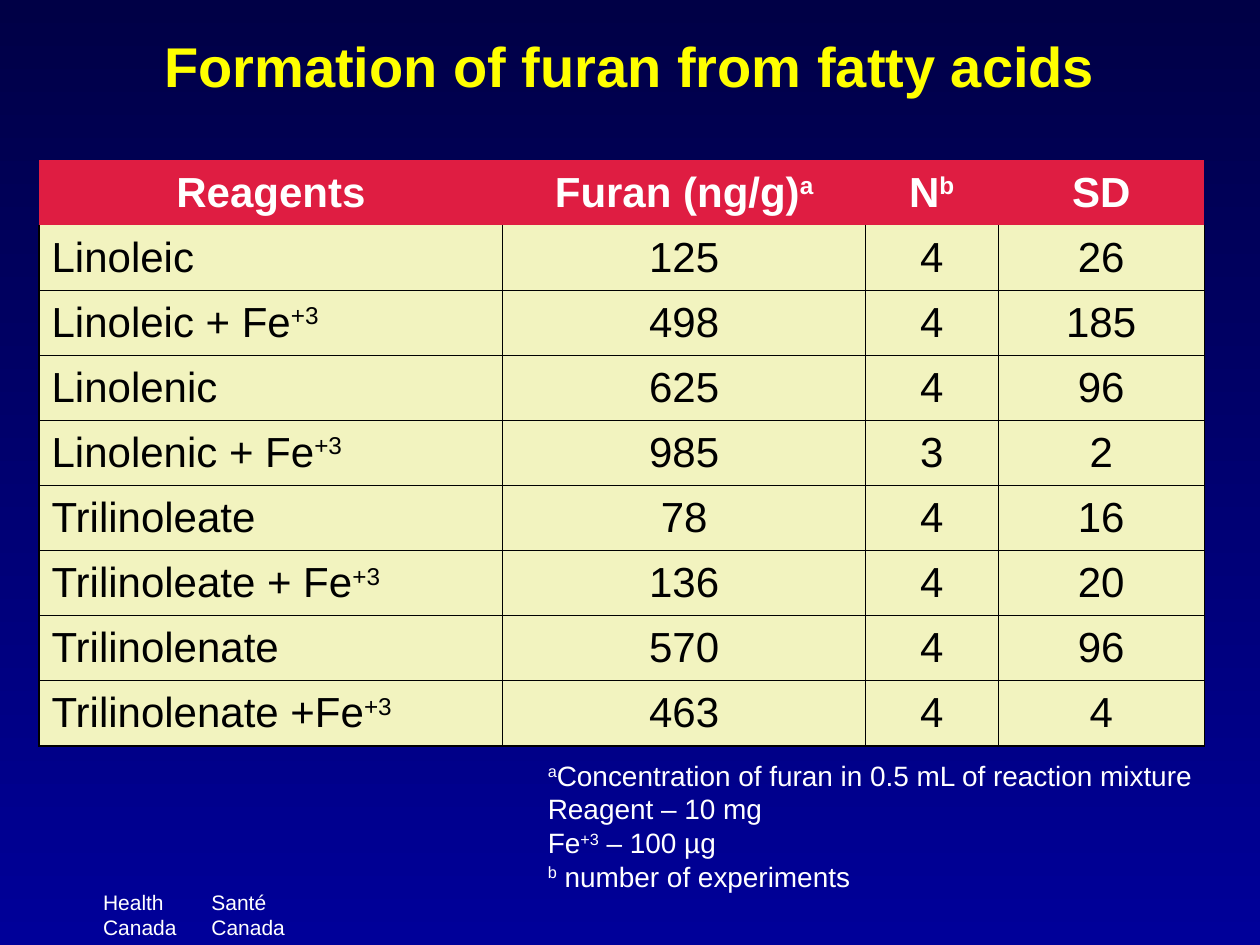
from lxml.etree import SubElement
from pptx import Presentation
from pptx.dml.color import RGBColor
from pptx.enum.text import MSO_ANCHOR, MSO_AUTO_SIZE, PP_ALIGN
from pptx.oxml.ns import qn
from pptx.util import Inches, Pt

# Content: text between ^ marks is superscript
TITLE = "Formation of furan from fatty acids"
HEADER = ("Reagents", "Furan (ng/g)^a^", "N^b^", "SD")
RESULTS = [
    ("Linoleic", 125, 4, 26),
    ("Linoleic + Fe^+3^", 498, 4, 185),
    ("Linolenic", 625, 4, 96),
    ("Linolenic + Fe^+3^", 985, 3, 2),
    ("Trilinoleate", 78, 4, 16),
    ("Trilinoleate + Fe^+3^", 136, 4, 20),
    ("Trilinolenate", 570, 4, 96),
    ("Trilinolenate +Fe^+3^", 463, 4, 4),
]
FOOTNOTES = [
    "^a^Concentration of furan in 0.5 mL of reaction mixture",
    "Reagent – 10 mg",
    "Fe^+3^ – 100 µg",
    "^b^ number of experiments",
]
AGENCY = ["Health\tSanté", "Canada\tCanada"]
COLUMN_WIDTHS = (3.68, 2.88, 1.05, 1.64)
TABLE_HEIGHT = 4.65
THIN, THICK = 0.45, 1.08
COLORS = {
    "top": "000046", "bottom": "000099", "title": "FFFF00", "white": "FFFFFF",
    "black": "000000", "header": "DF1D42", "body": "F2F3BF",
}


def color(name):
    return RGBColor.from_string(COLORS[name])


def write(para, text, size, color_name, bold=False, align=PP_ALIGN.LEFT):
    para.alignment = align
    font = para.font
    font.name, font.size, font.bold = "Arial", Pt(size), bold
    font.color.rgb = color(color_name)
    for index, part in enumerate(text.split("^")):
        if part:
            span = para.add_run()
            span.text = part
            if index % 2:
                span.font._element.set("baseline", "30000")


def add_lines(page, lines, left, top, width, height, size, tab=None):
    box = page.shapes.add_textbox(*map(Inches, (left, top, width, height)))
    frame = box.text_frame
    frame.word_wrap = True
    for index, line in enumerate(lines):
        para = frame.paragraphs[0] if index == 0 else frame.add_paragraph()
        if tab:
            stops = SubElement(para._p.get_or_add_pPr(), qn("a:tabLst"))
            SubElement(stops, qn("a:tab"), pos=str(Inches(tab)), algn="l")
        write(para, line, size, "white")


def set_borders(cell, widths):
    """Draw left, right, top and bottom lines; zero hides a line."""
    properties = cell._tc.get_or_add_tcPr()
    for side, width in zip("LRTB", widths):
        line = SubElement(properties, qn(f"a:ln{side}"), w=str(Pt(width)))
        if width:
            fill = SubElement(line, qn("a:solidFill"))
            SubElement(fill, qn("a:srgbClr"), val=COLORS["black"])
        else:
            SubElement(line, qn("a:noFill"))


def add_results(page):
    rows = [HEADER] + RESULTS
    last_row, last_column = len(rows) - 1, len(HEADER) - 1
    table = page.shapes.add_table(
        len(rows), len(HEADER), Inches(0.31), Inches(1.27),
        Inches(sum(COLUMN_WIDTHS)), Inches(TABLE_HEIGHT)).table
    table.horz_banding = False
    for column, width in zip(table.columns, COLUMN_WIDTHS):
        column.width = Inches(width)
    for r, values in enumerate(rows):
        table.rows[r].height = Inches(TABLE_HEIGHT / len(rows))
        for c, value in enumerate(values):
            cell = table.cell(r, c)
            is_header = r == 0
            set_borders(cell, (0, 0, 0, 0) if is_header else (
                THICK if c == 0 else THIN,
                THICK if c == last_column else THIN,
                0 if r == 1 else THIN,
                THICK if r == last_row else THIN))
            cell.fill.solid()
            cell.fill.fore_color.rgb = color("header" if is_header else "body")
            cell.vertical_anchor = MSO_ANCHOR.MIDDLE
            centred = is_header or c > 0
            write(cell.text_frame.paragraphs[0], str(value), 24,
                  "white" if is_header else "black", is_header,
                  PP_ALIGN.CENTER if centred else PP_ALIGN.LEFT)


def main():
    deck = Presentation()
    deck.slide_width, deck.slide_height = Inches(10), Inches(7.5)
    page = deck.slides.add_slide(deck.slide_layouts[5])

    # Background runs from dark at the top to bright at the bottom
    background = page.background.fill
    background.gradient()
    background.gradient_angle = 270
    for stop, name in zip(background.gradient_stops, ("top", "bottom")):
        stop.color.rgb = color(name)

    # Title
    title = page.shapes.title
    title.left, title.top = Inches(0.5), Inches(-0.11)
    title.width, title.height = Inches(9), Inches(1.25)
    title.text_frame.auto_size = MSO_AUTO_SIZE.NONE
    title.text_frame.vertical_anchor = MSO_ANCHOR.MIDDLE
    write(title.text_frame.paragraphs[0], TITLE, 32, "title", True, PP_ALIGN.CENTER)

    # Table, footnotes and agency name
    add_results(page)
    add_lines(page, FOOTNOTES, 4.25, 5.97, 5.67, 1.17, 16)
    add_lines(page, AGENCY, 0.72, 7.01, 1.8, 0.5, 12, tab=0.86)

    deck.save("out.pptx")


if __name__ == "__main__":
    main()
